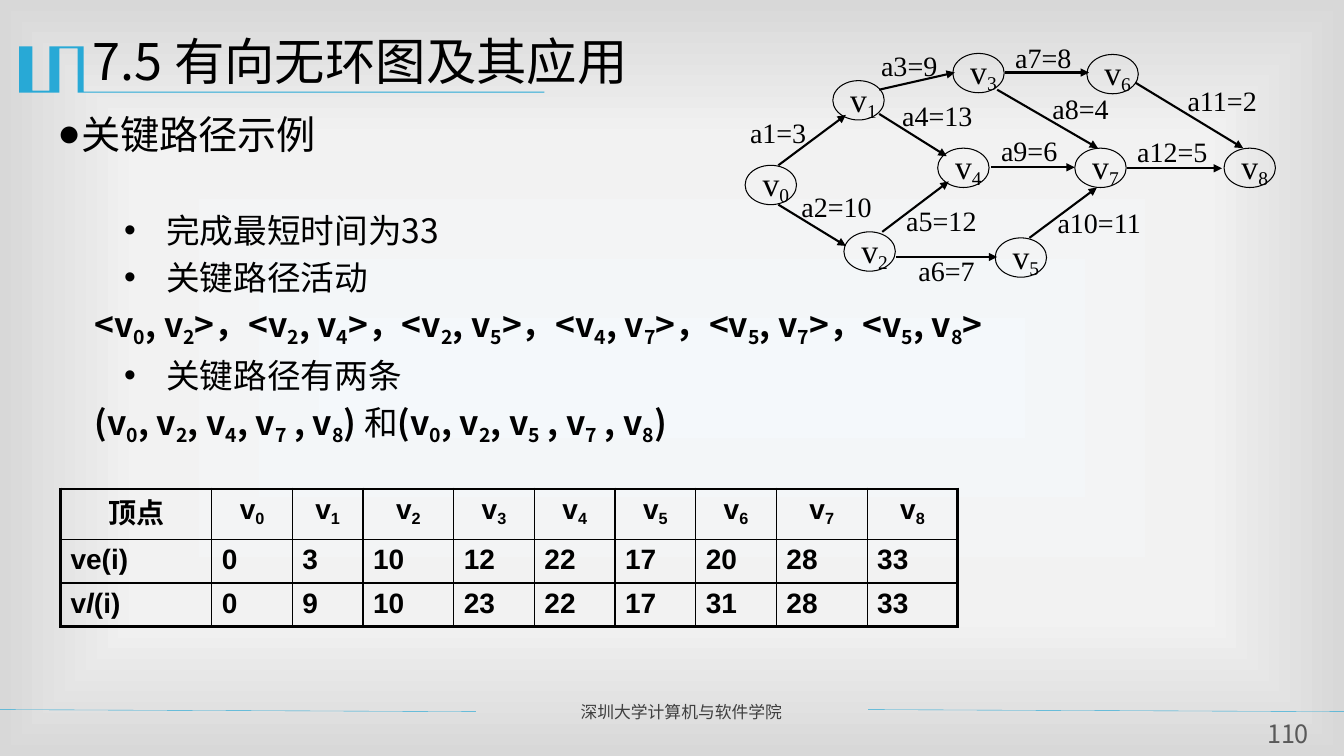
from lxml.etree import SubElement
from pptx import Presentation
from pptx.dml.color import RGBColor
from pptx.enum.shapes import MSO_CONNECTOR, MSO_SHAPE
from pptx.enum.text import MSO_ANCHOR, MSO_AUTO_SIZE, PP_ALIGN
from pptx.oxml import parse_xml
from pptx.oxml.ns import nsdecls, qn
from pptx.util import Pt

PX = 9144
BLACK = RGBColor(0x00, 0x00, 0x00)
BLUE = RGBColor(0x28, 0xA9, 0xD6)
DARK_GREY = RGBColor(0x3F, 0x3F, 0x3F)
GREY = RGBColor(0x59, 0x59, 0x59)
SANS, SERIF, ARIAL = "Noto Sans CJK SC", "Times New Roman", "Arial"


def write(para, text, size, font, color=BLACK, bold=False, drop=-18000):
    first, *others = text.split("_")
    pieces = [(first, False)]
    for other in others:
        pieces += [(other[0], True), (other[1:], False)]
    for piece, lowered in pieces:
        if not piece:
            continue
        span = para.add_run()
        span.text = piece
        span.font.size = Pt(size)
        span.font.bold = bold
        span.font.name = font
        span.font.color.rgb = color
        properties = span.font._element
        SubElement(properties, qn("a:ea")).set("typeface", font)
        if lowered:
            properties.set("baseline", str(drop))


def draw_line(x1, y1, x2, y2, color, width, arrow=False):
    line = page.shapes.add_connector(
        MSO_CONNECTOR.STRAIGHT, x1 * PX, y1 * PX, x2 * PX, y2 * PX)
    line.line.color.rgb = color
    line.line.width = Pt(width)
    outline = line._element.spPr.find(qn("a:ln"))
    if arrow:
        SubElement(outline, qn("a:tailEnd")).set("type", "triangle")
    SubElement(line._element.spPr, qn("a:effectLst"))


deck = Presentation()
deck.slide_width, deck.slide_height = 1333 * PX, 750 * PX
page = deck.slides.add_slide(deck.slide_layouts[1])

stops = "".join(
    f'<a:gs pos="{position}"><a:srgbClr val="{color}"/></a:gs>'
    for position, color in [(0, "F4F8FB"), (63000, "F2F2F2"), (100000, "D8D8D8")])
page._element.cSld.insert(0, parse_xml(
    f'<p:bg {nsdecls("p", "a")}><p:bgPr><a:gradFill rotWithShape="1"><a:gsLst>{stops}</a:gsLst>'
    '<a:path path="rect"><a:fillToRect l="50000" t="50000" r="50000" b="50000"/></a:path>'
    '</a:gradFill><a:effectLst/></p:bgPr></p:bg>'))

title, body = page.shapes.title, page.placeholders[1]
for holder, frame_px in [(title, (82, 25, 1200, 87)), (body, (47, 104, 1213, 522))]:
    holder.left, holder.top, holder.width, holder.height = [n * PX for n in frame_px]
    holder.text_frame.auto_size = MSO_AUTO_SIZE.NONE
    holder.text_frame.vertical_anchor = MSO_ANCHOR.TOP
    holder.text_frame.word_wrap = True

heading = title.text_frame.paragraphs[0]
heading.alignment = PP_ALIGN.LEFT
heading.line_spacing = 1.0
write(heading, "7.5 有向无环图及其应用", 36, SANS)

activities = "，".join(
    f"<v_{a}, v_{b}>" for a, b in ["02", "24", "25", "47", "57", "58"])
body_rows = [
    ("●", 0, -50, 0, 28, [("关键路径示例", False)]),
    ("•", 108, -42, 38, 24, [("完成最短时间为33", False)]),
    ("•", 108, -42, 4.8, 24, [("关键路径活动", False)]),
    (None, 104, -67, 4.8, 24, [(activities, True)]),
    ("•", 108, -42, 4.8, 24, [("关键路径有两条", False)]),
    (None, 104, -67, 4.8, 24, [("(v_0, v_2, v_4, v_7 , v_8) ", True), ("和", False),
                               ("(v_0, v_2, v_5 , v_7 , v_8)", True)]),
]
for index, (bullet, margin, indent, before, size, pieces) in enumerate(body_rows):
    para = body.text_frame.add_paragraph() if index else body.text_frame.paragraphs[0]
    para.level = 1
    settings = para._element.get_or_add_pPr()
    settings.set("marL", str(margin * PX))
    settings.set("indent", str(indent * PX))
    if bullet:
        SubElement(settings, qn("a:buChar")).set("char", bullet)
    else:
        SubElement(settings, qn("a:buNone"))
    para.alignment = PP_ALIGN.LEFT
    para.line_spacing = 1.0
    para.space_before = Pt(before)
    for text, bold in pieces:
        write(para, text, size, SANS, bold=bold, drop=-20000)

builder = page.shapes.build_freeform(82, 46, scale=PX)
builder.add_line_segments([
    (83, 46), (83, 91), (540, 91), (540, 92), (77, 92), (77, 48), (59, 48), (59, 92),
    (19, 92), (19, 46), (32, 46), (32, 90), (49, 90), (49, 46)], close=True)
emblem = builder.convert_to_shape()
emblem.shadow.inherit = False
emblem.fill.solid()
emblem.fill.fore_color.rgb = BLUE
emblem.line.fill.background()

for start, end in [(-1, 472), (861, 1333)]:
    draw_line(start, 704, end, 706, BLUE, 0.25)

footer = page.shapes.add_textbox(566 * PX, 691 * PX, 285 * PX, 30 * PX)
footer.text_frame.word_wrap = True
footer.text_frame.paragraphs[0].alignment = PP_ALIGN.JUSTIFY
write(footer.text_frame.paragraphs[0], "深圳大学计算机与软件学院", 12, SANS, DARK_GREY)

number = page.shapes.add_textbox(1248 * PX, 713 * PX, 59 * PX, 31 * PX)
frame = number.text_frame
frame.word_wrap = True
frame.margin_left = frame.margin_right = frame.margin_top = frame.margin_bottom = 0
frame.paragraphs[0].alignment = PP_ALIGN.CENTER
write(frame.paragraphs[0], "110", 18, SANS, GREY)

columns = [150, 80, 70, 90, 80, 80, 80, 80, 90, 90]
table_rows = [
    ["顶点"] + [f"v_{i}" for i in range(9)],
    ["ve(i)", 0, 3, 10, 12, 22, 17, 20, 28, 33],
    ["vl(i)", 0, 9, 10, 23, 22, 17, 31, 28, 33],
]
table = page.shapes.add_table(
    3, 10, 60 * PX, 485 * PX, sum(columns) * PX, 136 * PX).table
table.first_row = table.horz_banding = False
for column, width in zip(table.columns, columns):
    column.width = width * PX
for row, height in zip(table.rows, [50, 43, 43]):
    row.height = height * PX
for r, values in enumerate(table_rows):
    for c, value in enumerate(values):
        cell = table.cell(r, c)
        borders = [("L", c == 0), ("R", c == 9), ("T", r == 0), ("B", r == 2)]
        for side, outer in borders:
            cell._tc.get_or_add_tcPr().append(parse_xml(
                f'<a:ln{side} {nsdecls("a")} w="{Pt(2.25 if outer else 1)}"><a:solidFill>'
                f'<a:srgbClr val="{BLACK}"/></a:solidFill></a:ln{side}>'))
        cell.fill.background()
        para = cell.text_frame.paragraphs[0]
        para.alignment = PP_ALIGN.LEFT if r else PP_ALIGN.CENTER
        for text in ["v", "l", "(i)"] if value == "vl(i)" else [str(value)]:
            write(para, text, 20, ARIAL, bold=True)
            para.runs[-1].font.italic = text == "l"
table.cell(0, 0).vertical_anchor = MSO_ANCHOR.MIDDLE

vertices = [(739, 164), (826, 80), (837, 230), (945, 53), (930, 147),
            (987, 236), (1078, 54), (1066, 147), (1214, 147)]
for index, (left, top) in enumerate(vertices):
    vertex = page.shapes.add_shape(MSO_SHAPE.OVAL, left * PX, top * PX, 51 * PX, 39 * PX)
    vertex.shadow.inherit = False
    vertex.fill.background()
    vertex.line.color.rgb = BLACK
    vertex.line.width = Pt(0.75)
    vertex.text_frame.word_wrap = False
    vertex.text_frame.vertical_anchor = MSO_ANCHOR.MIDDLE
    vertex.text_frame.paragraphs[0].alignment = PP_ALIGN.LEFT
    write(vertex.text_frame.paragraphs[0], f"v_{index}", 24, SERIF)

edges = [
    ("a1=3", 734, 114, 79, (772, 164, 839, 114)),
    ("a2=10", 785, 187, 83, (772, 203, 839, 244)),
    ("a3=9", 864, 47, 71, (872, 89, 947, 72)),
    ("a4=13", 885, 97, 83, (872, 113, 939, 155)),
    ("a5=12", 889, 201, 83, (875, 230, 941, 180)),
    ("a6=7", 901, 251, 71, (889, 255, 989, 255)),
    ("a7=8", 997, 39, 71, (997, 72, 1080, 72)),
    ("a8=4", 1034, 90, 71, (989, 89, 1089, 147)),
    ("a9=6", 983, 132, 71, (983, 166, 1066, 166)),
    ("a10=11", 1039, 203, 95, (1021, 236, 1088, 186)),
    ("a11=2", 1168, 82, 83, (1126, 82, 1233, 147)),
    ("a12=5", 1118, 133, 83, (1118, 167, 1212, 167)),
]
for text, left, top, width, ends in edges:
    label = page.shapes.add_textbox(left * PX, top * PX, width * PX, 35 * PX)
    label.text_frame.word_wrap = False
    label.text_frame.margin_right = 0
    label.text_frame.vertical_anchor = MSO_ANCHOR.MIDDLE
    write(label.text_frame.paragraphs[0], text, 20, SERIF)
    draw_line(*ends, BLACK, 1.5, arrow=True)

deck.save("out.pptx")
